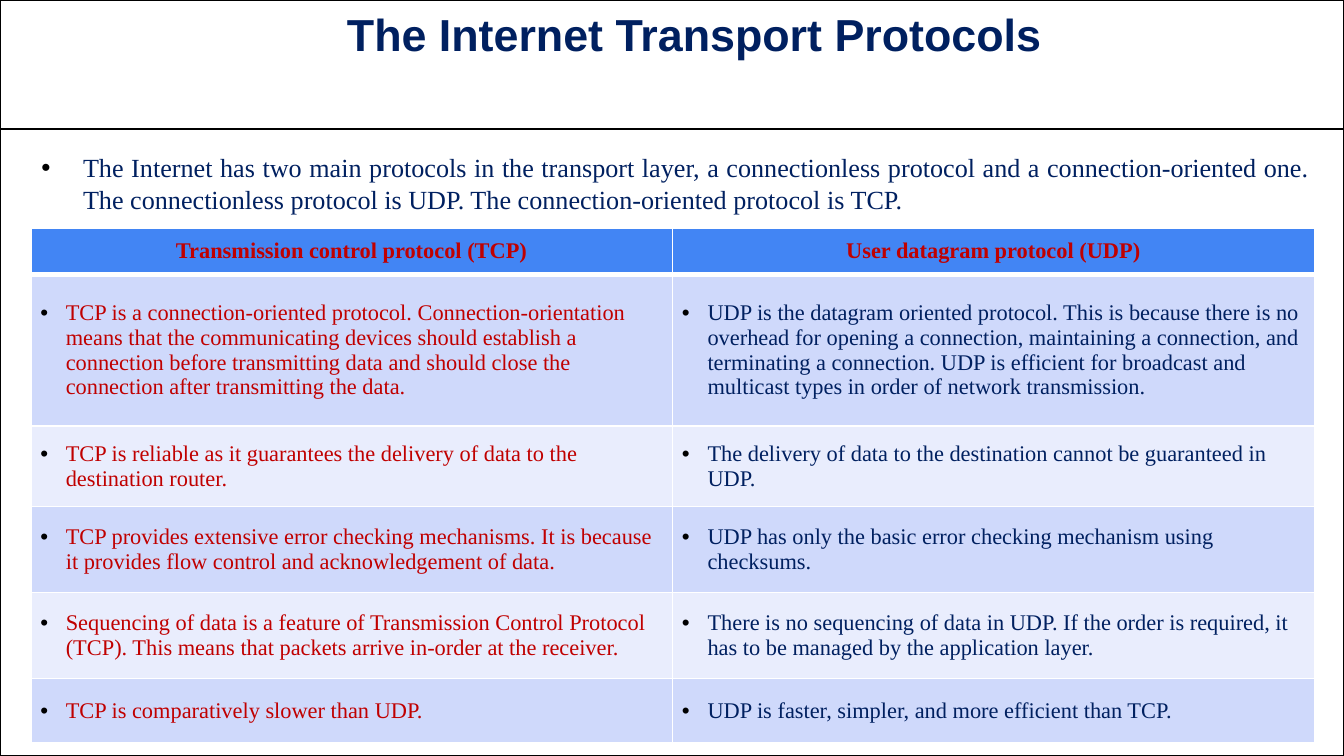
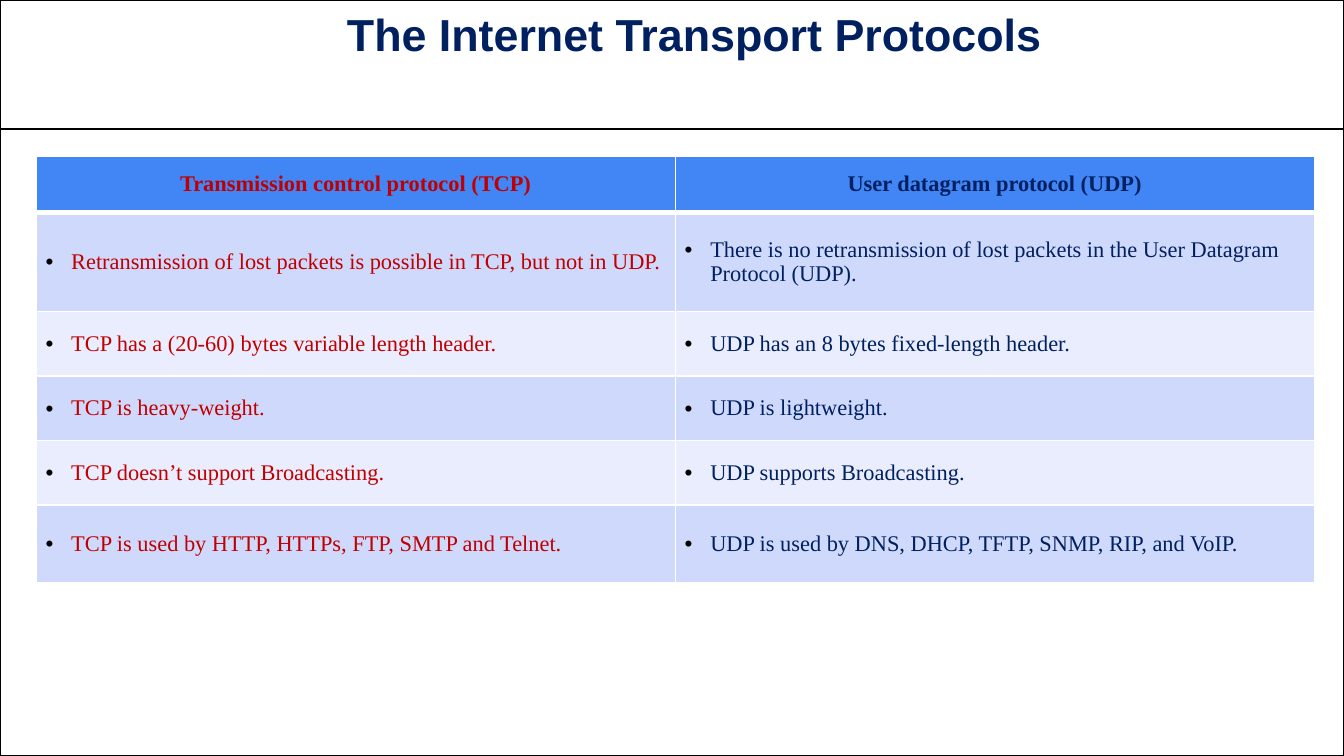
from lxml.etree import SubElement
from pptx import Presentation
from pptx.dml.color import RGBColor
from pptx.enum.shapes import MSO_CONNECTOR as Connector, MSO_SHAPE as Shape
from pptx.enum.text import MSO_ANCHOR as Anchor, PP_ALIGN as Align
from pptx.oxml.ns import qn
from pptx.util import Inches, Pt

COLUMNS, ROWS = 100, 56.25  # square grid cells of a tenth of an inch
COLORS = {
    "navy": "002060", "red": "C00000", "black": "000000", "white": "FFFFFF",
    "header": "4285F4", "band_dark": "CFD9FB", "band_light": "E9EDFD",
}
BODY_FONT = "Times New Roman"
TITLE_FONT = "Arial"
TITLE = "The Internet Transport Protocols"
HEADINGS = ("Transmission control protocol (TCP)", "User datagram protocol (UDP)")
INTRO = (
    "The Internet has two main protocols in the transport layer, a connectionless "
    "protocol and a connection-oriented one. The connectionless protocol is UDP. "
    "The connection-oriented protocol is TCP."
)
CONNECTION_ROWS = [
    ("TCP is a connection-oriented protocol. Connection-orientation means that the "
     "communicating devices should establish a connection before transmitting data "
     "and should close the connection after transmitting the data.",
     "UDP is the datagram oriented protocol. This is because there is no overhead "
     "for opening a connection, maintaining a connection, and terminating a "
     "connection. UDP is efficient for broadcast and multicast types in order of "
     "network transmission."),
    ("TCP is reliable as it guarantees the delivery of data to the destination router.",
     "The delivery of data to the destination cannot be guaranteed in UDP."),
    ("TCP provides extensive error checking mechanisms. It is because it provides "
     "flow control and acknowledgement of data.",
     "UDP has only the basic error checking mechanism using checksums."),
    ("Sequencing of data is a feature of Transmission Control Protocol (TCP). This "
     "means that packets arrive in-order at the receiver.",
     "There is no sequencing of data in UDP. If the order is required, it has to be "
     "managed by the application layer."),
    ("TCP is comparatively slower than UDP.",
     "UDP is faster, simpler, and more efficient than TCP."),
]
DELIVERY_ROWS = [
    ("Retransmission of lost packets is possible in TCP, but not in UDP.",
     "There is no retransmission of lost packets in the User Datagram Protocol (UDP)."),
    ("TCP has a (20-60) bytes variable length header.",
     "UDP has an 8 bytes fixed-length header."),
    ("TCP is heavy-weight.", "UDP is lightweight."),
    ("TCP doesn’t support Broadcasting.", "UDP supports Broadcasting."),
    ("TCP is used by HTTP, HTTPs, FTP, SMTP and Telnet.",
     "UDP is used by DNS, DHCP, TFTP, SNMP, RIP, and VoIP."),
]


def grid(*cells):
    """Turn counts of grid cells into lengths."""
    return [Inches(cell / 10) for cell in cells]


def color(name):
    return RGBColor.from_string(COLORS[name])


def add_solid_fill(parent, name):
    fill = SubElement(parent, qn("a:solidFill"))
    SubElement(fill, qn("a:srgbClr"), val=COLORS[name])


def add_bullet(paragraph, indent):
    properties = paragraph._p.get_or_add_pPr()
    hanging = grid(indent)[0]
    properties.set("marL", str(hanging))
    properties.set("indent", str(-hanging))
    bullet_color = SubElement(properties, qn("a:buClr"))
    SubElement(bullet_color, qn("a:srgbClr"), val=COLORS["black"])
    SubElement(properties, qn("a:buFont"), typeface="Arial")
    SubElement(properties, qn("a:buChar"), char="•")


def write(frame, text, *, size, ink="navy", font=BODY_FONT, bold=False,
          align=Align.LEFT, indent=None):
    """Fill a text frame with one paragraph, bulleted when an indent is given."""
    frame.word_wrap = True
    paragraph = frame.paragraphs[0]
    paragraph.alignment = align
    if indent:
        add_bullet(paragraph, indent)
    run = paragraph.add_run()
    run.text = text
    run.font.name, run.font.size, run.font.bold = font, Pt(size), bold
    run.font.color.rgb = color(ink)


def add_text(slide, box, text, **style):
    write(slide.shapes.add_textbox(*grid(*box)).text_frame, text, **style)


def add_frame(slide):
    """Outline the slide and rule off the title band."""
    border = slide.shapes.add_shape(Shape.RECTANGLE, *grid(0, 0, COLUMNS, ROWS))
    border.shadow.inherit = False
    border.fill.background()
    rule = slide.shapes.add_connector(
        Connector.STRAIGHT, *grid(0, 9.6, COLUMNS, 9.6))
    SubElement(rule._element.spPr, qn("a:effectLst"))
    for shape in (border, rule):
        shape.line.color.rgb = color("black")
        shape.line.width = Pt(1)


def add_borders(cell, row):
    """Draw white cell borders, with a thick one under the heading row."""
    widths = {"L": 1, "R": 1, "T": 3 if row == 1 else 1, "B": 3 if row == 0 else 1}
    properties = cell._tc.get_or_add_tcPr()
    for side, width in widths.items():
        border = SubElement(properties, qn(f"a:ln{side}"), w=str(Pt(width)))
        add_solid_fill(border, "white")


def format_cell(cell, row, fill, margins):
    add_borders(cell, row)
    cell.fill.solid()
    cell.fill.fore_color.rgb = color(fill)
    cell.vertical_anchor = Anchor.MIDDLE
    across, down = grid(*margins)
    cell.margin_left = cell.margin_right = across
    cell.margin_top = cell.margin_bottom = down


def add_comparison(slide, corner, width, heights, rows, heading_inks):
    """Add a TCP and UDP table with a heading row and banded bulleted rows."""
    shape = slide.shapes.add_table(
        len(heights), 2, *grid(*corner, width, sum(heights)))
    table = shape.table
    for column in table.columns:
        column.width = grid(width / 2)[0]
    for row, (height, texts) in enumerate(zip(heights, [HEADINGS, *rows])):
        table.rows[row].height = grid(height)[0]
        for column, text in enumerate(texts):
            cell = table.cell(row, column)
            if row == 0:
                format_cell(cell, row, "header", (0.7 if column else 0.3, 0.7))
                write(cell.text_frame, text, size=12, ink=heading_inks[column],
                      bold=True, align=Align.CENTER)
            else:
                fill = "band_dark" if row % 2 else "band_light"
                format_cell(cell, row, fill, (0.7, 0.9))
                write(cell.text_frame, text, size=12,
                      ink=("red", "navy")[column], indent=1.9)


def add_titled_slide(presentation):
    slide = presentation.slides.add_slide(presentation.slide_layouts[6])
    add_frame(slide)
    add_text(slide, (16.7, 0, 69.9, 5), TITLE, size=24, font=TITLE_FONT,
             bold=True, align=Align.CENTER)
    return slide


def main():
    presentation = Presentation()
    presentation.slide_width, presentation.slide_height = grid(COLUMNS, ROWS)

    connection_slide = add_titled_slide(presentation)
    add_text(connection_slide, (2.1, 10.8, 96.4, 8.1), INTRO, size=14,
             align=Align.JUSTIFY, indent=3.1)
    add_comparison(connection_slide, (2.3, 17), 95.5,
                   [3.4, 11.3, 6, 6.4, 6.4, 4.8], CONNECTION_ROWS, ("red", "red"))

    delivery_slide = add_titled_slide(presentation)
    add_comparison(delivery_slide, (2.7, 11.6), 95.1,
                   [4.2, 7.4, 4.8, 4.8, 4.8, 5.8], DELIVERY_ROWS, ("red", "navy"))

    presentation.save("out.pptx")


if __name__ == "__main__":
    main()
